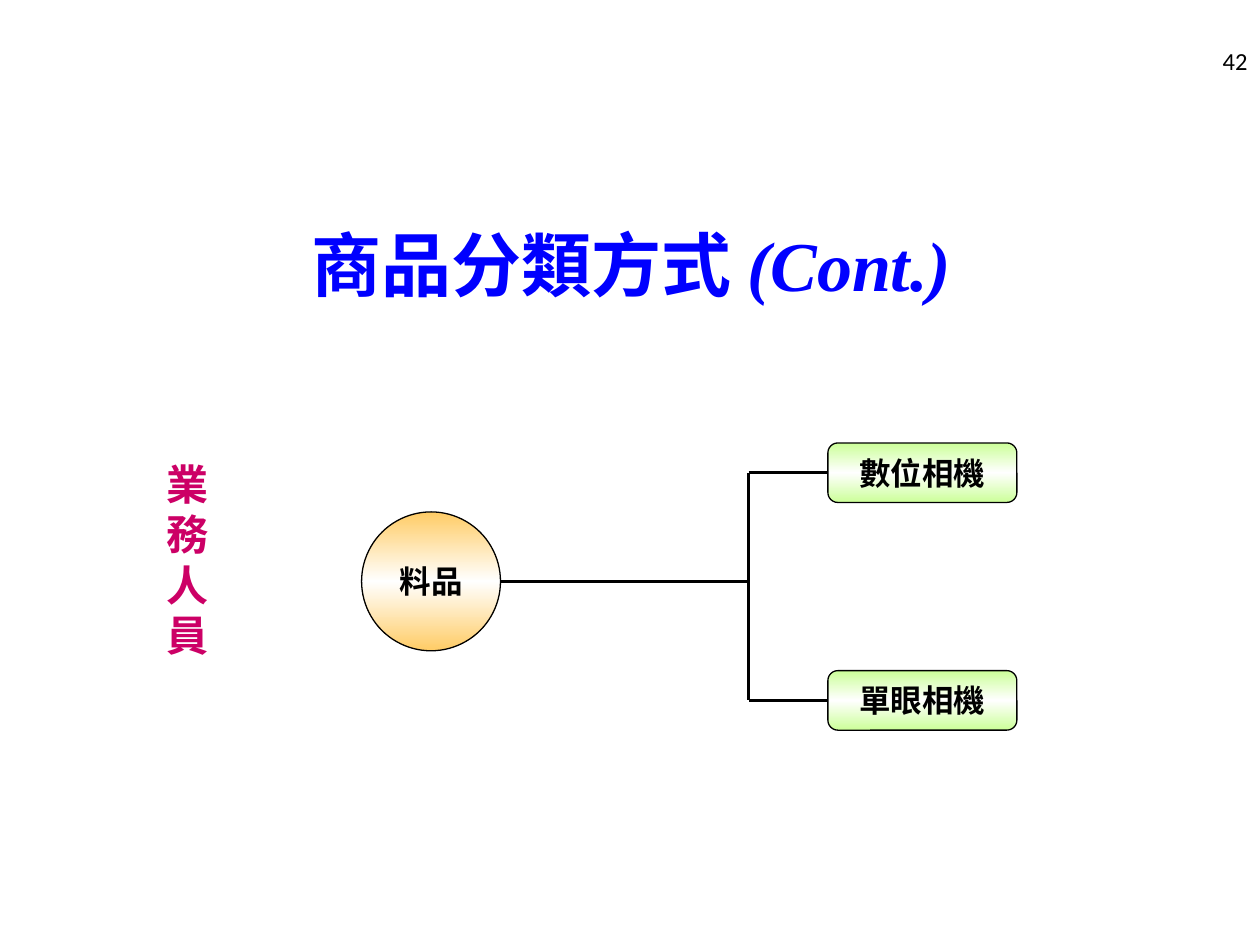
from copy import deepcopy

from lxml import etree
from pptx import Presentation
from pptx.dml.color import RGBColor
from pptx.enum.shapes import MSO_CONNECTOR, MSO_SHAPE
from pptx.enum.text import MSO_ANCHOR, PP_ALIGN
from pptx.oxml.ns import qn
from pptx.util import Cm, Pt

STRAIGHT = MSO_CONNECTOR.STRAIGHT
ELLIPSE, ROUNDED = MSO_SHAPE.OVAL, MSO_SHAPE.ROUNDED_RECTANGLE
MIDDLE, TOP = MSO_ANCHOR.MIDDLE, MSO_ANCHOR.TOP
LEFT, CENTER, RIGHT = PP_ALIGN.LEFT, PP_ALIGN.CENTER, PP_ALIGN.RIGHT


def color(value):
    return RGBColor.from_string(value)


def write(shape, runs, align, anchor, wrap, hex_color, **font_values):
    frame = shape.text_frame
    frame.word_wrap = wrap
    frame.vertical_anchor = anchor
    paragraph = frame.paragraphs[0]
    paragraph.alignment = align
    for text, extra in runs:
        run = paragraph.add_run()
        run.text = text
        run.font.color.rgb = color(hex_color)
        for name, value in {**font_values, **extra}.items():
            setattr(run.font, name, value)


presentation = Presentation()
presentation.slide_width, presentation.slide_height = Cm(25.4), Cm(19.05)
slide = presentation.slides.add_slide(presentation.slide_layouts[5])

title = slide.shapes.title
title.left, title.top, title.width, title.height = Cm(1.3), Cm(3.73), Cm(22.86), Cm(3.18)
write(title, [("商品分類方式 ", {}), ("(Cont.)", {"italic": True})], CENTER, MIDDLE, True,
      "0000FF", name="Times New Roman", size=Pt(40), bold=True)

labels = [
    ("42", 19.48, 0.71, 5.92, 1.02, RIGHT, MIDDLE, "000000",
     {"name": "Calibri", "size": Pt(14)}),
    ("業務人員", 3.1, 9.12, 1.8, 4.32, LEFT, TOP, "CC0066",
     {"name": "Arial", "size": Pt(24), "bold": True}),
]
for text, left, top, width, height, align, anchor, hex_color, font_values in labels:
    label = slide.shapes.add_textbox(Cm(left), Cm(top), Cm(width), Cm(height))
    write(label, [(text, {})], align, anchor, True, hex_color, **font_values)

root_y, branch_ys = 11.72, (9.53, 14.12)
root_right, trunk_x, branch_left = 10.09, 15.09, 16.69
root_size, branch_width, branch_height = 2.8, 3.81, 1.2

nodes = [("料品", ELLIPSE, root_right - root_size, root_y, root_size, root_size, "FFCC66")]
for text, y in zip(("數位相機", "單眼相機"), branch_ys):
    nodes.append((text, ROUNDED, branch_left, y, branch_width, branch_height, "CCFF99"))

for text, kind, left, center_y, width, height, edge_color in nodes:
    node = slide.shapes.add_shape(kind, Cm(left), Cm(center_y - height / 2), Cm(width), Cm(height))
    node.shadow.inherit = False
    node.line.color.rgb = color("000000")
    node.line.width = Pt(0.75)
    node.fill.gradient()
    node.fill.gradient_angle = 90
    first_stop = node.fill.gradient_stops[0]
    stop_list = node._element.spPr.find(qn("a:gradFill")).find(qn("a:gsLst"))
    stop_list.insert(1, deepcopy(stop_list[0]))
    stops = zip(node.fill.gradient_stops, (0, 0.5, 1), (edge_color, "FFFFFF", edge_color))
    for stop, position, hex_color in stops:
        stop.position = position
        stop.color.rgb = color(hex_color)
    write(node, [(text, {})], CENTER, MIDDLE, False, "000000",
          name="Arial", size=Pt(18), bold=True)

lines = [(root_right, root_y, trunk_x, root_y)]
lines += [(trunk_x, y, branch_left, y) for y in branch_ys]
lines.append((trunk_x, branch_ys[0], trunk_x, branch_ys[1]))
for points in lines:
    connector = slide.shapes.add_connector(STRAIGHT, *map(Cm, points))
    connector.line.color.rgb = color("000000")
    connector.line.width = Pt(1.5)
    etree.SubElement(connector._element.spPr, qn("a:effectLst"))

presentation.save("out.pptx")
